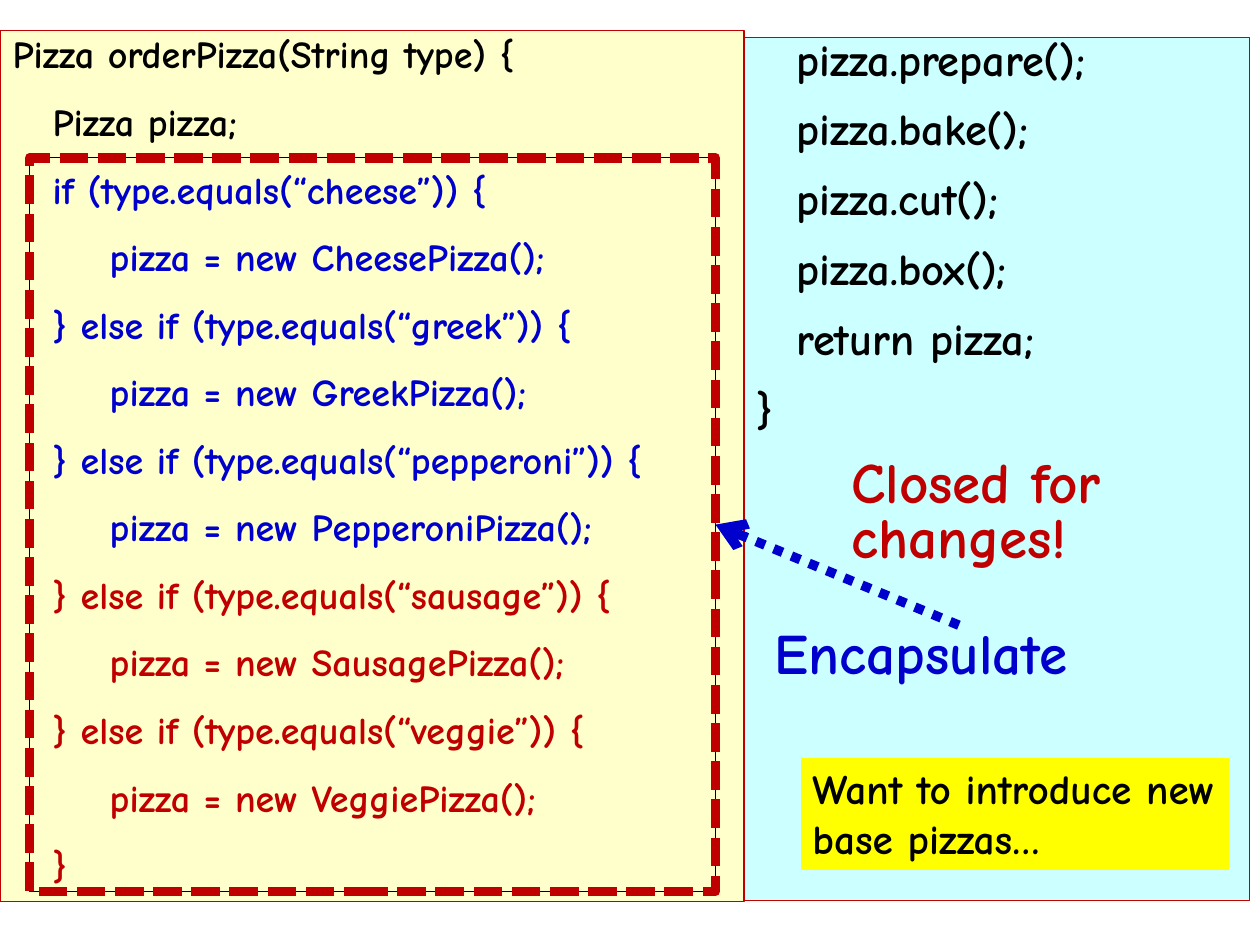
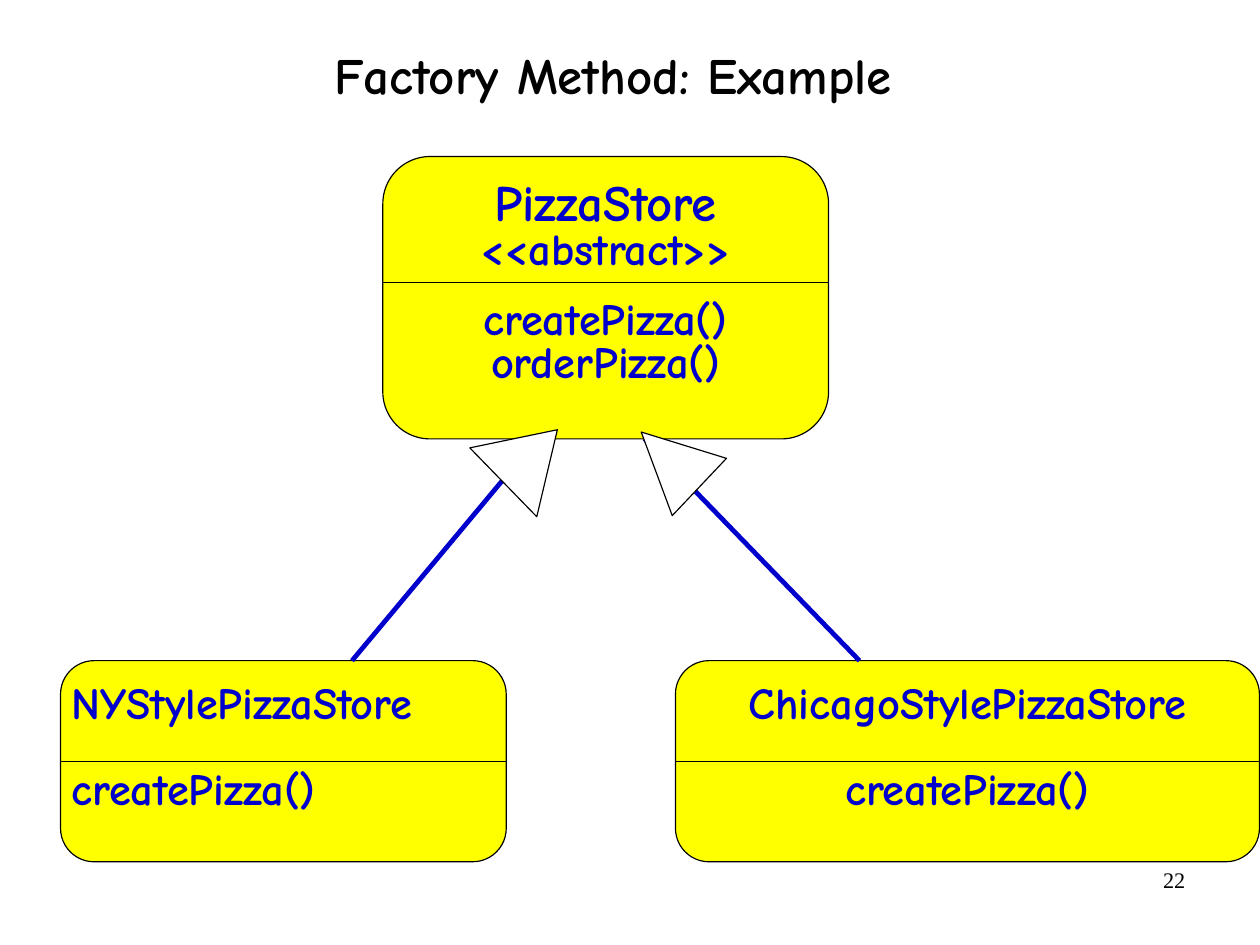
from dataclasses import dataclass
from typing import Optional, Sequence

from pptx import Presentation
from pptx.dml.color import RGBColor
from pptx.enum.dml import MSO_LINE
from pptx.enum.shapes import MSO_CONNECTOR, MSO_SHAPE
from pptx.enum.text import MSO_ANCHOR, PP_ALIGN
from pptx.oxml.ns import qn
from pptx.shapes.base import BaseShape
from pptx.slide import Slide
from pptx.util import Emu, Pt
from lxml.etree import SubElement

EMU_PER_PX = 9144  # 100 px to the inch
SLIDE_WIDTH, SLIDE_HEIGHT = Emu(10080625), Emu(7559675)  # 28 by 21 cm

BLACK = RGBColor(0x00, 0x00, 0x00)
WHITE = RGBColor(0xFF, 0xFF, 0xFF)
BLUE = RGBColor(0x00, 0x00, 0xCC)
RED = RGBColor(0xC0, 0x00, 0x00)
YELLOW = RGBColor(0xFF, 0xFF, 0x00)
CREAM = RGBColor(0xFF, 0xFF, 0xCC)
AQUA = RGBColor(0xCC, 0xFF, 0xFF)

HAND_FONT = "Comic Neue"
NUMBER_FONT = "Times New Roman"
PADDING = (10, 5)
NO_PADDING = (0, 0)
CODE_INDENTS = (11, 46, 96)
CODE_GAP = 13.74


@dataclass(frozen=True)
class Area:
    left: int
    top: int
    width: int
    height: int


@dataclass(frozen=True)
class Line:
    text: str
    size: int
    color: RGBColor = BLACK
    indent: int = 0
    before: float = 0
    after: float = 0
    spacing: float = 1.0
    align: PP_ALIGN = PP_ALIGN.LEFT
    font: str = HAND_FONT
    bold: bool = True


@dataclass(frozen=True)
class Stroke:
    color: RGBColor
    width: float = 0.75
    dash: Optional[MSO_LINE] = None


@dataclass(frozen=True)
class ClassBox:
    area: Area
    text_top: int
    divider: int
    lines: Sequence[Line]


@dataclass(frozen=True)
class Inheritance:
    start: tuple[int, int]
    end: tuple[int, int]
    head: Area
    rotation: float


THIN_BLACK = Stroke(BLACK)
THIN_RED = Stroke(RED)


def px(length: int) -> Emu:
    return Emu(length * EMU_PER_PX)


def bounds(area: Area) -> tuple[Emu, Emu, Emu, Emu]:
    return px(area.left), px(area.top), px(area.width), px(area.height)


def apply_stroke(target: BaseShape, stroke: Stroke) -> None:
    target.line.color.rgb = stroke.color
    target.line.width = Pt(stroke.width)
    if stroke.dash is not None:
        target.line.dash_style = stroke.dash


def write(box: BaseShape, lines: Sequence[Line], padding: tuple[int, int] = PADDING,
          anchor: MSO_ANCHOR = MSO_ANCHOR.TOP) -> None:
    frame = box.text_frame
    frame.word_wrap = True
    frame.vertical_anchor = anchor
    frame.margin_left = frame.margin_right = px(padding[0])
    frame.margin_top = frame.margin_bottom = px(padding[1])
    for index, line in enumerate(lines):
        para = frame.add_paragraph() if index else frame.paragraphs[0]
        para.alignment = line.align
        para.line_spacing = line.spacing
        para.space_before = Pt(line.before)
        para.space_after = Pt(line.after)
        if line.indent:
            para._p.get_or_add_pPr().set("marL", str(px(line.indent)))
        span = para.add_run()
        span.text = line.text
        span.font.name = line.font
        span.font.size = Pt(line.size)
        span.font.bold = line.bold
        span.font.color.rgb = line.color


def add_box(page: Slide, area: Area, fill: Optional[RGBColor] = None,
            stroke: Optional[Stroke] = None,
            kind: MSO_SHAPE = MSO_SHAPE.RECTANGLE) -> BaseShape:
    box = page.shapes.add_shape(kind, *bounds(area))
    box.shadow.inherit = False
    if fill is None:
        box.fill.background()
    else:
        box.fill.solid()
        box.fill.fore_color.rgb = fill
    if stroke is None:
        box.line.fill.background()
    else:
        apply_stroke(box, stroke)
    return box


def add_text(page: Slide, area: Area, lines: Sequence[Line],
             padding: tuple[int, int] = PADDING,
             anchor: MSO_ANCHOR = MSO_ANCHOR.TOP) -> None:
    write(page.shapes.add_textbox(*bounds(area)), lines, padding, anchor)


def add_line(page: Slide, start: tuple[int, int], end: tuple[int, int],
             stroke: Stroke, arrow: Optional[str] = None) -> None:
    connector = page.shapes.add_connector(
        MSO_CONNECTOR.STRAIGHT, *map(px, start), *map(px, end))
    apply_stroke(connector, stroke)
    if arrow:
        SubElement(connector.line._get_or_add_ln(), qn("a:tailEnd")).set("type", arrow)
    SubElement(connector._element.spPr, qn("a:effectLst"))


def code(level: int, text: str, color: RGBColor = BLACK, size: int = 24,
         spacing: float = 1.0) -> Line:
    return Line(text, size, color, CODE_INDENTS[level], after=CODE_GAP, spacing=spacing)


def order_code() -> list[Line]:
    lines = [code(0, "Pizza orderPizza(String type) {"), code(1, "Pizza pizza;")]
    branches = (("cheese", BLUE), ("greek", BLUE), ("pepperoni", BLUE),
                ("sausage", RED), ("veggie", RED))
    for index, (kind, color) in enumerate(branches):
        opening = "} else if" if index else "if"
        lines.append(code(1, f"{opening} (type.equals(“{kind}”)) {{", color))
        lines.append(code(2, f"pizza = new {kind.capitalize()}Pizza();", color))
    return lines + [code(1, "}", RED)]


def add_class_box(page: Slide, item: ClassBox) -> None:
    area = item.area
    box = add_box(page, area, YELLOW, THIN_BLACK, MSO_SHAPE.ROUNDED_RECTANGLE)
    box.adjustments[0] = 0.167
    text_height = area.top + area.height - item.text_top
    add_text(page, Area(area.left, item.text_top, area.width, text_height), item.lines)
    add_line(page, (area.left, item.divider),
             (area.left + area.width, item.divider), THIN_BLACK)


def member(text: str, align: PP_ALIGN, size: int = 28, before: float = 0) -> Line:
    return Line(text, size, BLUE, before=before, spacing=0.8, align=align)


def store_lines(name: str, align: PP_ALIGN) -> list[Line]:
    return [member(name, align), member("createPizza()", align, before=26.9)]


def build_code_page(page: Slide) -> None:
    write(add_box(page, Area(0, 27, 651, 762), CREAM, THIN_RED), order_code(), NO_PADDING)
    steps = [code(1, text, size=28, spacing=0.9) for text in (
        "pizza.prepare();", "pizza.bake();", "pizza.cut();", "pizza.box();",
        "return pizza;")]
    steps.append(code(0, "}", size=28, spacing=0.9))
    write(add_box(page, Area(651, 33, 442, 755), AQUA, THIN_RED), steps, NO_PADDING)

    for stroke in (THIN_BLACK, Stroke(RED, 6, MSO_LINE.SQUARE_DOT)):
        add_box(page, Area(26, 138, 600, 642), stroke=stroke)

    add_text(page, Area(668, 547, 342, 59), [Line("Encapsulate", 36, BLUE, spacing=0.8)])
    add_line(page, (839, 547), (626, 459), Stroke(BLUE, 6, MSO_LINE.ROUND_DOT), "arrow")
    add_text(page, Area(735, 397, 342, 107),
             [Line("Closed for changes!", 36, RED, spacing=0.8)])
    write(add_box(page, Area(701, 663, 375, 98), YELLOW),
          [Line("Want to introduce new base pizzas…", 26)])


def build_diagram_page(page: Slide) -> None:
    center = PP_ALIGN.CENTER
    add_text(page, Area(790, 753, 257, 57),
             [Line("22", 14, align=PP_ALIGN.RIGHT, font=NUMBER_FONT, bold=False)])
    add_text(page, Area(26, 0, 1021, 137),
             [Line("Factory Method: Example", 32, spacing=0.88, align=center)],
             NO_PADDING, MSO_ANCHOR.MIDDLE)

    class_boxes = (
        ClassBox(Area(335, 137, 390, 247), 155, 247, [
            member("PizzaStore", center, 32),
            member("<<abstract>>", center),
            member("createPizza()", center, before=17.3),
            member("orderPizza()", center)]),
        ClassBox(Area(53, 578, 390, 176), 595, 666,
                 store_lines("NYStylePizzaStore", PP_ALIGN.LEFT)),
        ClassBox(Area(591, 578, 511, 176), 595, 666,
                 store_lines("ChicagoStylePizzaStore", center)),
    )
    for item in class_boxes:
        add_class_box(page, item)

    inheritances = (
        Inheritance((308, 578), (470, 384), Area(422, 366, 84, 66), 45.8),
        Inheritance((752, 578), (564, 384), Area(552, 367, 69, 70), 313.4),
    )
    for link in inheritances:
        add_line(page, link.start, link.end, Stroke(BLUE, 3))
        head = add_box(page, link.head, WHITE, THIN_BLACK, MSO_SHAPE.ISOSCELES_TRIANGLE)
        head.rotation = link.rotation


def main() -> None:
    deck = Presentation()
    deck.slide_width, deck.slide_height = SLIDE_WIDTH, SLIDE_HEIGHT
    blank = deck.slide_layouts[6]
    for build in (build_code_page, build_diagram_page):
        build(deck.slides.add_slide(blank))
    deck.save("out.pptx")


if __name__ == "__main__":
    main()
